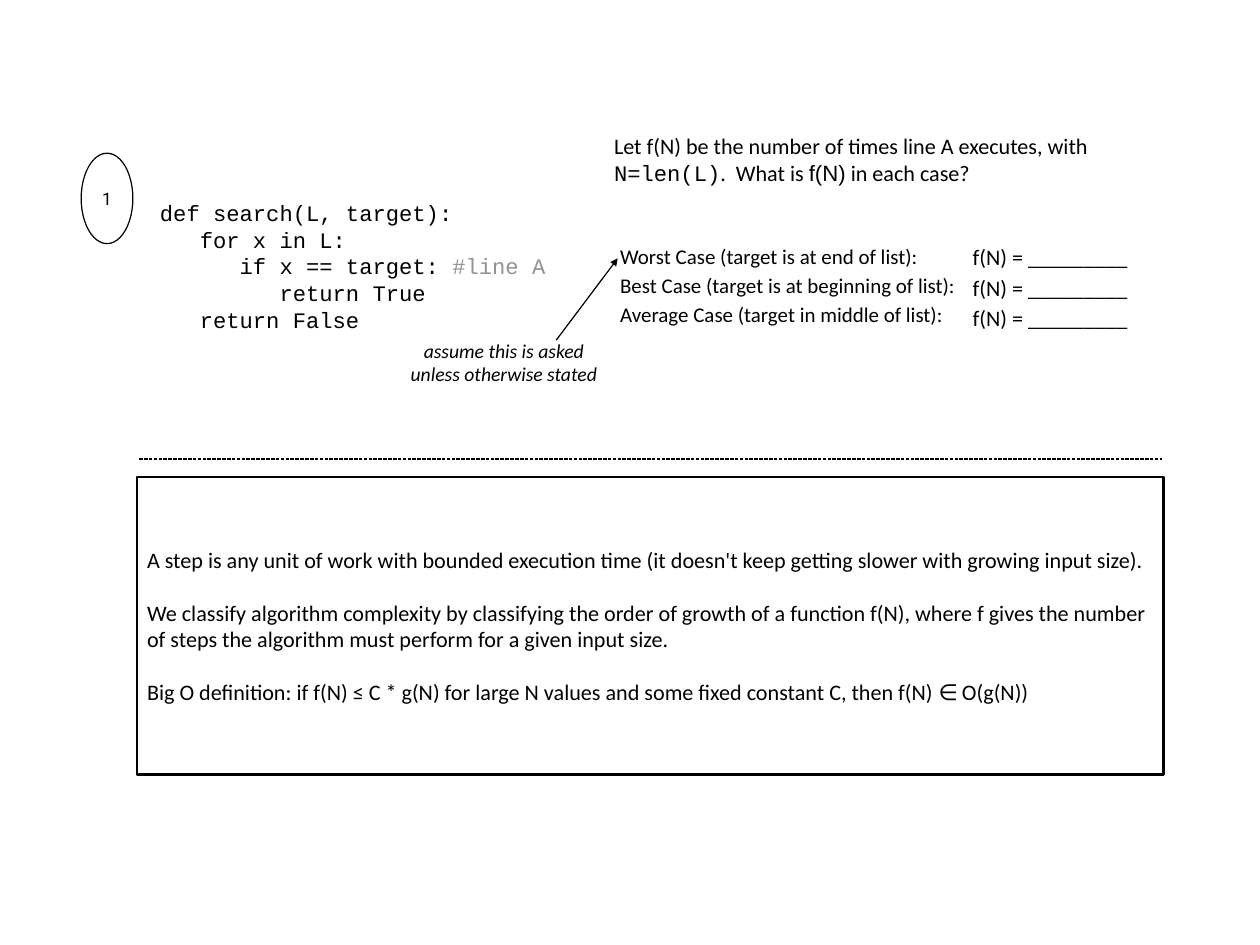
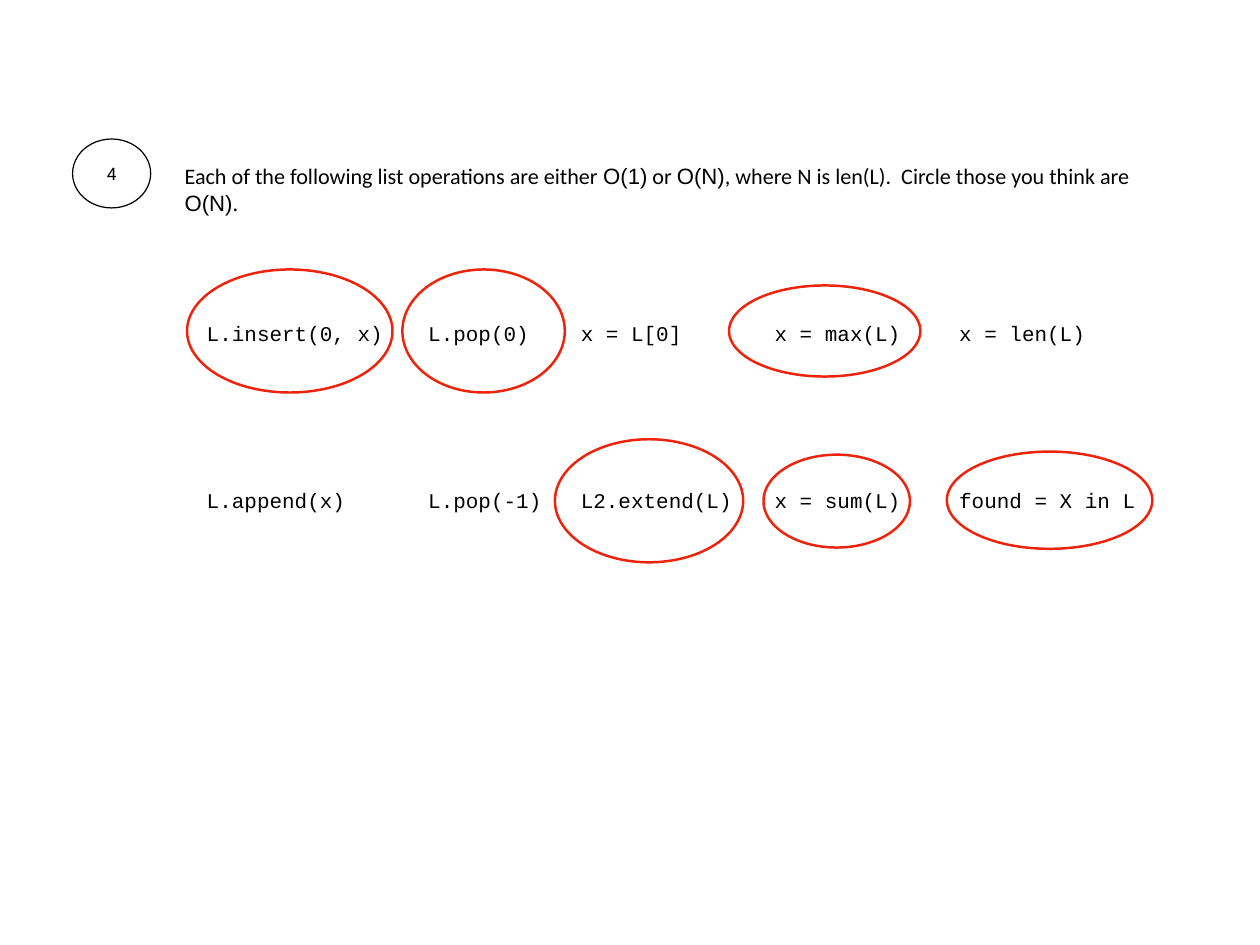
from pptx import Presentation
from pptx.dml.color import RGBColor
from pptx.enum.dml import MSO_LINE
from pptx.enum.shapes import MSO_CONNECTOR, MSO_SHAPE
from pptx.enum.text import MSO_ANCHOR, MSO_AUTO_SIZE, PP_ALIGN
from pptx.oxml.ns import qn
from pptx.util import Pt
from lxml.etree import SubElement

BLACK, GREY, RED = "000000", "929292", "EE230C"
SANS, SYMBOL, MONO, BADGE = "Calibri", "Arial", "Courier New", "Roboto"
INSET = 4.5
CODE_INDENT = 32.4  # three characters of 18 pt code

# A paragraph is a list of (text, font, colour) runs.
GROWTH_QUESTION = [
    ("Let f(N) be the number of times line A executes, with ", SANS, BLACK),
    ("N=len(L)", MONO, BLACK), (".  What is ", SANS, BLACK),
    ("f(N)", SYMBOL, BLACK), (" in each case?", SANS, BLACK)]
LIST_QUESTION = [
    ("Each of the following list operations are either ", SANS, BLACK),
    ("O(1)", SYMBOL, BLACK), (" or ", SANS, BLACK), ("O(N)", SYMBOL, BLACK),
    (", where N is len(L).  Circle those you think are ", SANS, BLACK),
    ("O(N)", SYMBOL, BLACK), (".", SANS, BLACK)]
SEARCH_CODE = [  # indent level, runs
    (0, [("def search(L, target):", MONO, BLACK)]),
    (1, [("for x in L:", MONO, BLACK)]),
    (2, [("if x == target: ", MONO, BLACK), ("#line A", MONO, GREY)]),
    (3, [("return True", MONO, BLACK)]),
    (1, [("return False", MONO, BLACK)])]
CASES = ["Worst Case (target is at end of list):",
         "Best Case (target is at beginning of list):",
         "Average Case (target in middle of list):"]
ANSWER = "f(N) = _________"
ASSUMPTION = "assume this is asked unless otherwise stated"
DEFINITIONS = [
    "A step is any unit of work with bounded execution time "
    "(it doesn't keep getting slower with growing input size).",
    "We classify algorithm complexity by classifying the order of growth of a "
    "function f(N), where f gives the number of steps the algorithm must "
    "perform for a given input size.",
    "Big O definition: if f(N) ≤ C * g(N) for large N values and some fixed "
    "constant C, then f(N) ∈ O(g(N))"]

OPERATION_LEFTS = [163.5, 343.5, 467.5, 625, 775]
OPERATION_TOPS = [193, 328.5]
OPERATIONS = [  # operation, oval around it when it is O(N)
    [("L.insert(0, x)", (152, 219, 167, 100)),
     ("L.pop(0)", (327, 219, 132, 100)),
     ("x = L[0]", None),
     ("x = max(L)", (592.5, 232, 155.5, 74)),
     ("x = len(L)", None)],
    [("L.append(x)", None),
     ("L.pop(-1)", None),
     ("L2.extend(L)", (451, 357, 153, 100)),
     ("x = sum(L)", (620.5, 369.5, 119, 75.5)),
     ("found = X in L", (769.5, 367, 167, 79))]]


def color(hex_code):
    return RGBColor.from_string(hex_code)


def plain(texts, font=SANS):
    """Turn strings into single-run black paragraphs."""
    return [[(text, font, BLACK)] for text in texts]


def place(shape, box):
    for side, length in zip(("left", "top", "width", "height"), box):
        setattr(shape, side, Pt(length))


def write(shape, paragraphs, size=18, anchor=MSO_ANCHOR.TOP, align=PP_ALIGN.LEFT,
          before=0, first_before=None, italic=False, inset=INSET, levels=()):
    frame = shape.text_frame
    frame_format = {"word_wrap": True, "auto_size": MSO_AUTO_SIZE.NONE,
                    "vertical_anchor": anchor}
    frame_format.update({f"margin_{side}": Pt(inset)
                         for side in ("left", "top", "right", "bottom")})
    for name, value in frame_format.items():
        setattr(frame, name, value)
    for index, runs in enumerate(paragraphs):
        paragraph = frame.add_paragraph() if index else frame.paragraphs[0]
        gap = before if index or first_before is None else first_before
        paragraph.alignment = align
        paragraph.space_before = Pt(gap)
        properties = paragraph._p.get_or_add_pPr()
        level = levels[index] if levels else 0
        properties.set("marL", str(Pt(level * CODE_INDENT)))
        properties.set("indent", "0")
        SubElement(properties, qn("a:buNone"))
        for text, font, hex_code in runs:
            run = paragraph.add_run()
            run.text = text
            run_format = {"name": font, "size": Pt(size), "italic": italic}
            for name, value in run_format.items():
                setattr(run.font, name, value)
            run.font.color.rgb = color(hex_code)


def add_text(slide, box, paragraphs, **options):
    write(slide.shapes.add_textbox(*map(Pt, box)), paragraphs, **options)


def outline(shape, hex_code, width):
    shape.line.color.rgb = color(hex_code)
    shape.line.width = Pt(width)


def add_oval(slide, box, hex_code, width):
    oval = slide.shapes.add_shape(MSO_SHAPE.OVAL, *map(Pt, box))
    oval.shadow.inherit = False
    oval.fill.background()
    outline(oval, hex_code, width)
    return oval


def add_line(slide, *ends):
    line = slide.shapes.add_connector(MSO_CONNECTOR.STRAIGHT, *map(Pt, ends))
    outline(line, BLACK, 1)
    SubElement(line._element.spPr, qn("a:effectLst"))
    return line


def add_question(deck, layout, number, badge_box, question, box, anchor):
    """Start a slide with its numbered badge and its question as title."""
    slide = deck.slides.add_slide(deck.slide_layouts[layout])
    place(slide.shapes.title, box)
    write(slide.shapes.title, [question], anchor=anchor)
    write(add_oval(slide, badge_box, BLACK, 1), plain([number], BADGE), size=14,
          anchor=MSO_ANCHOR.MIDDLE, align=PP_ALIGN.CENTER, inset=2)
    return slide


def build_growth_slide(deck):
    slide = add_question(deck, 1, "1", (66, 124.5, 42, 73.5), GROWTH_QUESTION,
                         (494.5, 103, 440.5, 93.5), MSO_ANCHOR.TOP)
    definitions = slide.placeholders[1]
    place(definitions, (111.5, 387.5, 834, 242))
    outline(definitions, BLACK, 2)
    write(definitions, plain(DEFINITIONS), anchor=MSO_ANCHOR.MIDDLE,
          before=21.6, first_before=0, inset=8)

    levels, code = zip(*SEARCH_CODE)
    add_text(slide, (125.5, 114, 332.5, 204.5), code,
             anchor=MSO_ANCHOR.MIDDLE, levels=levels)
    add_text(slide, (499.5, 193.5, 296, 142), plain(CASES), size=17, before=3)
    add_text(slide, (786, 193.5, 153, 142), plain([ANSWER] * len(CASES)), before=3)
    add_text(slide, (321, 270.5, 177, 90), plain([ASSUMPTION]), size=16,
             align=PP_ALIGN.CENTER, before=3, italic=True)

    divider = add_line(slide, 113, 373, 944.5, 373)
    divider.line.dash_style = MSO_LINE.SQUARE_DOT
    arrow = add_line(slide, 452, 276.5, 502, 210)
    SubElement(arrow.line._get_or_add_ln(), qn("a:tailEnd"), type="triangle")


def build_list_slide(deck):
    slide = add_question(deck, 5, "4", (59, 113, 63.5, 56), LIST_QUESTION,
                         (145.5, 80, 811.5, 147.5), MSO_ANCHOR.MIDDLE)
    for top, row in zip(OPERATION_TOPS, OPERATIONS):
        for left, (operation, oval_box) in zip(OPERATION_LEFTS, row):
            add_text(slide, (left, top, 170, 155.5), plain([operation], MONO),
                     size=17, anchor=MSO_ANCHOR.MIDDLE)
            if oval_box:
                add_oval(slide, oval_box, RED, 2)


def main():
    deck = Presentation()
    deck.slide_width, deck.slide_height = Pt(1024), Pt(768)
    build_growth_slide(deck)
    build_list_slide(deck)
    deck.save("out.pptx")


if __name__ == "__main__":
    main()
